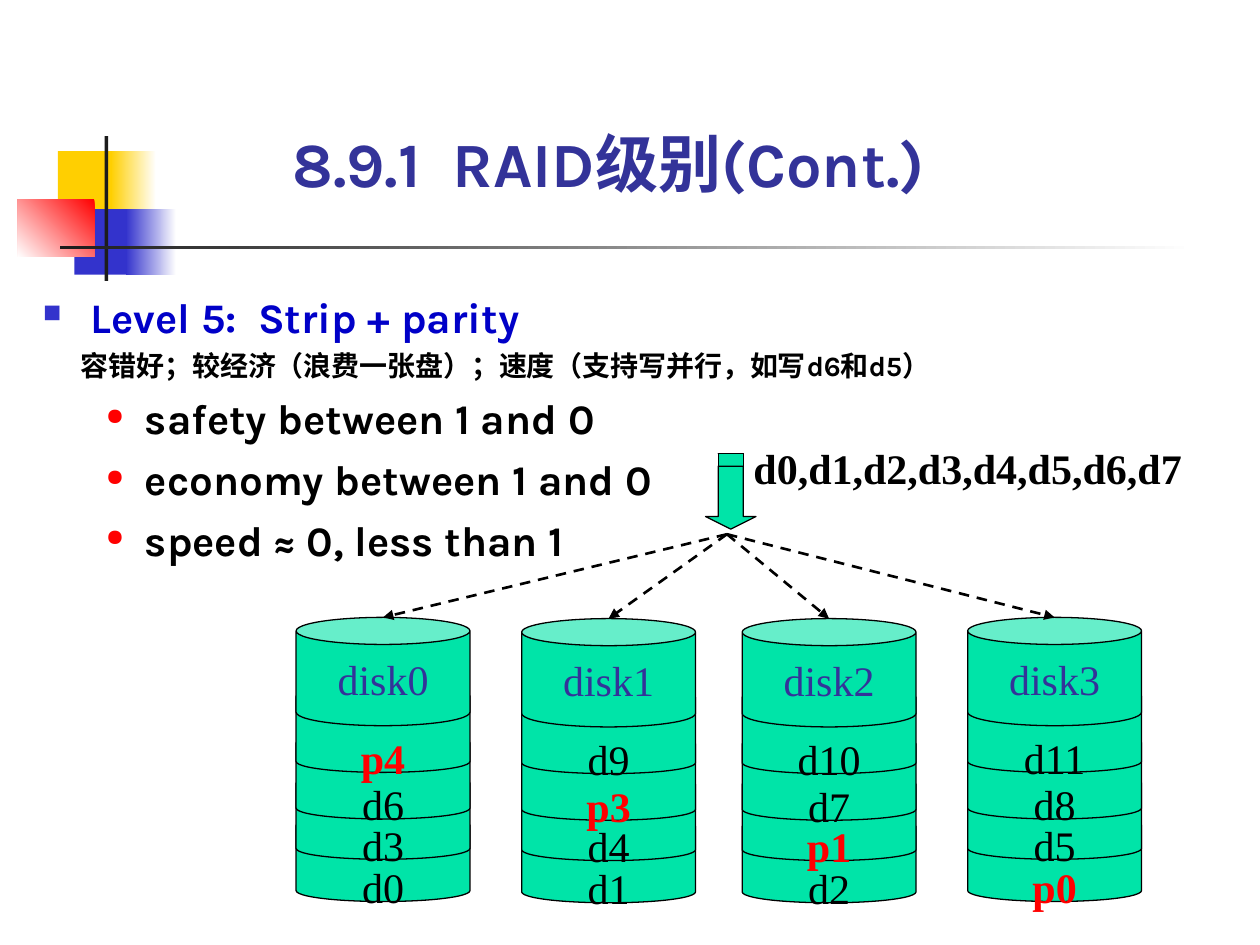
from typing import NamedTuple

from lxml.etree import SubElement
from pptx import Presentation
from pptx.dml.color import RGBColor
from pptx.enum.dml import MSO_LINE_DASH_STYLE as Dash
from pptx.enum.shapes import MSO_CONNECTOR as Connector, MSO_SHAPE as Shape
from pptx.enum.text import MSO_ANCHOR as Anchor, MSO_AUTO_SIZE as AutoSize, PP_ALIGN as Align
from pptx.oxml.ns import qn
from pptx.util import Inches, Pt

SANS, SERIF = "Karla", "Times New Roman"
BLACK, WHITE, RED, NAVY, GREEN = "000000", "FFFFFF", "FF0000", "333399", "00E4A8"
YELLOW, BLUE, DARK = "FFCF01", "3333CC", "1C1C1C"
COLUMNS = 100  # grid columns across the slide; rows are equally tall


class Box(NamedTuple):
    left: float
    top: float
    width: float
    height: float


class Block(NamedTuple):
    box: Box
    start: str
    end: str = ""
    angle: float = 180


class Line(NamedTuple):
    text: str
    size: float
    color: str
    before: float
    margin: float
    indent: float = 0
    bullet: str = ""
    bullet_color: str = BLACK
    bullet_pct: int = 100


class Disk(NamedTuple):
    left: float
    top: float
    name: str
    blocks: tuple[str, ...]  # top to bottom


BLOCKS = (
    Block(Box(4.6, 12, 4.8, 5.2), YELLOW),
    Block(Box(8.8, 12, 3.6, 5.2), WHITE, YELLOW),
    Block(Box(5.9, 16.6, 4.6, 5.2), BLUE),
    Block(Box(10, 16.6, 4, 5.2), WHITE, BLUE),
    Block(Box(1.4, 15.8, 6.1, 4.6), RED, WHITE, 225),
    Block(Box(8.3, 10.8, 0.3, 11.5), DARK),
    Block(Box(4.8, 19.5, 90, 0.3), WHITE, DARK),
)
POINTS = ("safety between 1 and 0", "economy between 1 and 0", "speed ≈ 0, less than 1")
LINES = (
    Line("Level 5:  Strip + parity", 24, "0000C8", 0, 3.8, -3.8, "■", BLUE, 60),
    Line("容错好；较经济（浪费一张盘）；速度（支持写并行，如写d6和d5）", 16, BLACK, 4, 3),
    *(Line(t, 24, BLACK, 6, 8.1, -3.1, "●", RED, 55) for t in POINTS),
)
DISKS = (
    Disk(23.5, 49, "disk0", ("p4", "d6", "d3", "d0")),
    Disk(41.4, 49.1, "disk1", ("d9", "p3", "d4", "d1")),
    Disk(58.9, 49.1, "disk2", ("d10", "d7", "p1", "d2")),
    Disk(76.8, 49, "disk3", ("d11", "d8", "d5", "p0")),
)
DISK_WIDTH, LID_HEIGHT, BLOCK_HEIGHT = 13.8, 8.6, 6.9
BLOCK_DROPS = (5.4, 9.1, 12.3, 15.65)  # below the disk's top
ARROW_TIP = (57.7, 42.4)

prs = Presentation()
prs.slide_width, prs.slide_height = Inches(10), Inches(7.5)
CELL = prs.slide_width / COLUMNS


def grid(*values: float) -> list[int]:
    return [round(v * CELL) for v in values]


def rgb(color: str) -> RGBColor:
    return RGBColor.from_string(color)


def paint(s, fill: str, line: str = "") -> None:
    s.shadow.inherit = False
    s.fill.solid()
    s.fill.fore_color.rgb = rgb(fill)
    if line:
        s.line.color.rgb = rgb(line)
        s.line.width = Pt(0.75)
    else:
        s.line.fill.background()


def style(p, font: str, size: float, color: str, bold: bool = False) -> None:
    for r in p.runs:
        r.font.name, r.font.size, r.font.bold = font, Pt(size), bold
        r.font.color.rgb = rgb(color)


def bare_frame(s):
    tf = s.text_frame
    tf.margin_left = tf.margin_right = tf.margin_top = tf.margin_bottom = 0
    tf.word_wrap, tf.auto_size = True, AutoSize.NONE
    return tf


def add_block(shapes, block: Block) -> None:
    s = shapes.add_shape(Shape.RECTANGLE, *grid(*block.box))
    paint(s, block.start)
    if block.end:
        s.fill.gradient()
        s.fill.gradient_angle = block.angle
        for stop, color in zip(s.fill.gradient_stops, (block.start, block.end)):
            stop.color.rgb = rgb(color)


def add_line(p, line: Line) -> None:
    p.text = line.text
    p.space_before = Pt(line.before)
    pPr = p._p.get_or_add_pPr()
    margin, indent = grid(line.margin, line.indent)
    pPr.set("marL", str(margin))
    pPr.set("indent", str(indent))
    if line.bullet:
        SubElement(SubElement(pPr, qn("a:buClr")), qn("a:srgbClr"), val=line.bullet_color)
        SubElement(pPr, qn("a:buSzPct"), val=str(line.bullet_pct * 1000))
        SubElement(pPr, qn("a:buChar"), char=line.bullet)
    style(p, SANS, line.size, line.color, True)


def add_can(shapes, box: Box, text: str, color: str, inset: float = 0) -> None:
    s = shapes.add_shape(Shape.CAN, *grid(*box))
    paint(s, GREEN, BLACK)
    tf = s.text_frame
    tf.word_wrap = False
    tf.vertical_anchor = Anchor.TOP if inset else Anchor.MIDDLE
    if inset:
        tf.margin_top, tf.margin_bottom = grid(inset, 0)
    tf.text = text
    p = tf.paragraphs[0]
    p.alignment = Align.CENTER
    style(p, SERIF, 24, color, color == RED)


def add_disk(shapes, disk: Disk) -> None:
    group = shapes.add_group_shape()
    for drop, text in reversed(list(zip(BLOCK_DROPS, disk.blocks))):
        box = Box(disk.left, disk.top + drop, DISK_WIDTH, BLOCK_HEIGHT)
        add_can(group.shapes, box, text, RED if text.startswith("p") else BLACK, 2)
    add_can(group.shapes, Box(disk.left, disk.top, DISK_WIDTH, LID_HEIGHT), disk.name, NAVY)


def add_arrow(shapes, start: tuple[float, float], end: tuple[float, float]) -> None:
    s = shapes.add_connector(Connector.STRAIGHT, *grid(*start, *end))
    s.line.color.rgb = rgb(BLACK)
    s.line.width, s.line.dash_style = Pt(1.5), Dash.DASH
    SubElement(s.line._get_or_add_ln(), qn("a:tailEnd"), type="triangle")
    SubElement(s._element.spPr, qn("a:effectLst"))


slide = prs.slides.add_slide(prs.slide_layouts[5])
shapes = slide.shapes

# Corner decoration
for block in BLOCKS:
    add_block(shapes, block)

# Title
title = shapes.title
title.left, title.top, title.width, title.height = grid(23.2, 9.9, 57.7, 6)
tf = bare_frame(title)
tf.vertical_anchor = Anchor.BOTTOM
tf.text = "8.9.1  RAID级别(Cont.)"
tf.paragraphs[0].alignment = Align.LEFT
style(tf.paragraphs[0], SANS, 36, NAVY, True)

# Description
tf = bare_frame(shapes.add_textbox(*grid(3.4, 23.1, 85.2, 21.7)))
for i, line in enumerate(LINES):
    add_line(tf.add_paragraph() if i else tf.paragraphs[0], line)

# Disks
for disk in DISKS:
    add_disk(shapes, disk)

# Striped block arrow: two bars above the arrow itself
x, tip = ARROW_TIP
left, right = x - 1.05, x + 1.05
builder = shapes.build_freeform(right, 36.9, scale=CELL)
builder.add_line_segments([(right, 40.8), (x + 2.1, 40.8), (x, tip), (x - 2.1, 40.8),
                           (left, 40.8), (left, 36.9)])
for top, bottom in ((35.9, 36.1), (36.3, 36.7)):
    builder.move_to(right, top)
    builder.add_line_segments([(right, bottom), (left, bottom), (left, top)])
paint(builder.convert_to_shape(), GREEN, BLACK)

# Data stream label
label = shapes.add_textbox(*grid(59.8, 35.1, 37.5, 4))
label.fill.solid()
label.fill.fore_color.rgb = rgb(WHITE)
tf = bare_frame(label)
tf.text = "d0,d1,d2,d3,d4,d5,d6,d7"
style(tf.paragraphs[0], SERIF, 24, BLACK, True)

# Distribution to the disks
for disk in DISKS:
    add_arrow(shapes, ARROW_TIP, (disk.left + DISK_WIDTH / 2, disk.top))

prs.save("out.pptx")
